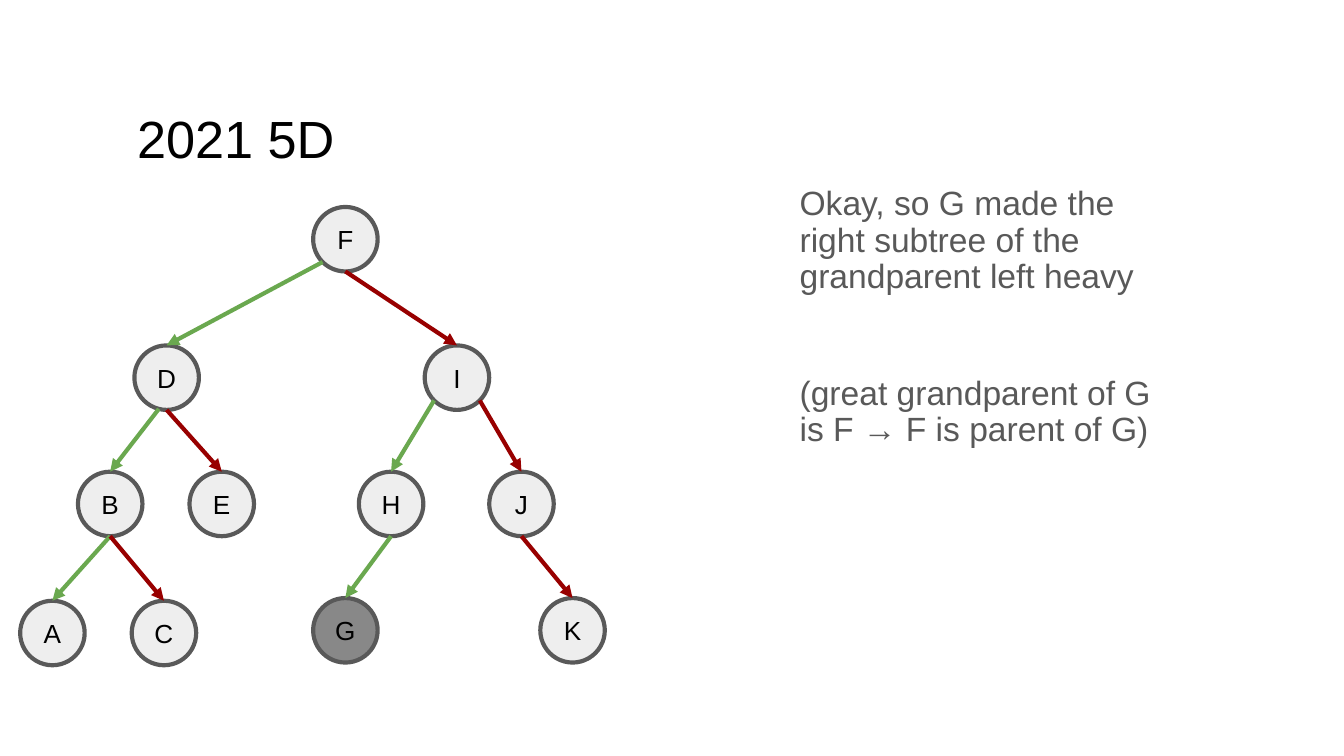
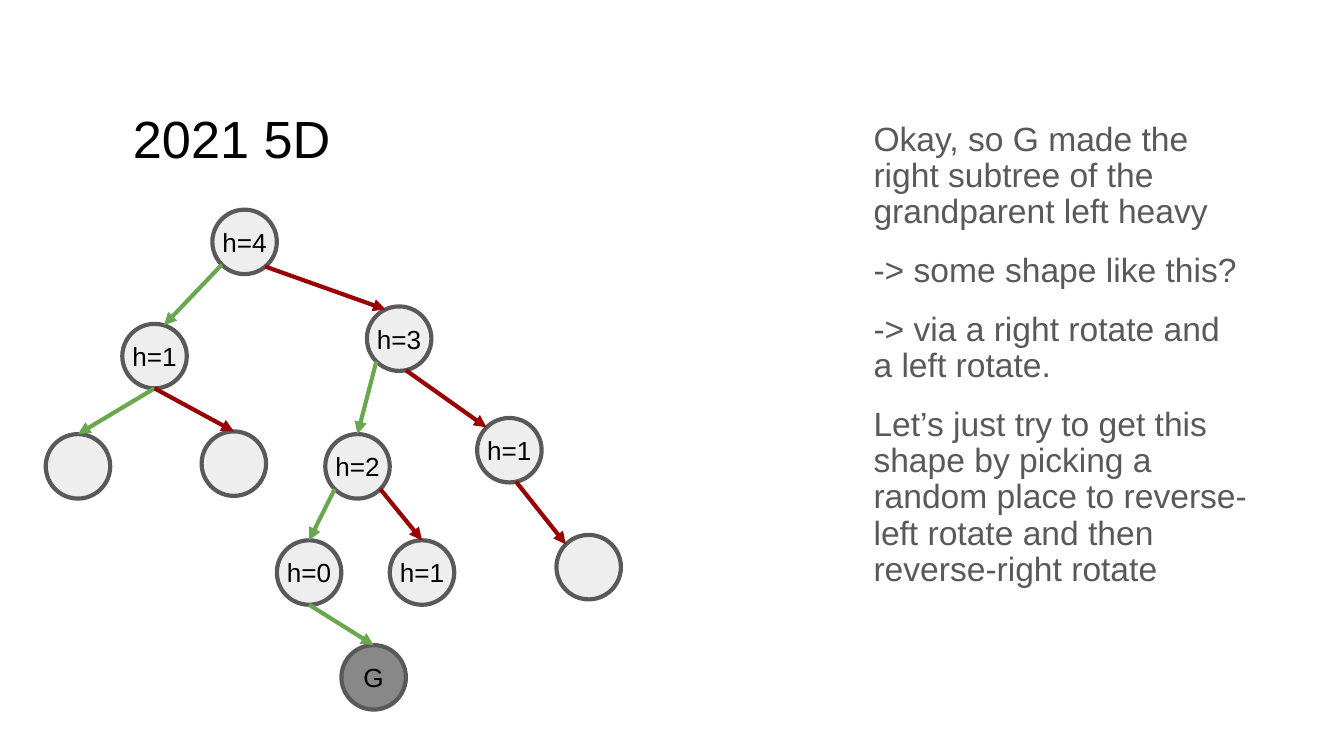
import math

import pptx
import pptx.util
import pptx.dml.color
import pptx.enum.shapes
import pptx.enum.text
import pptx.oxml.ns
import lxml.etree

Inches = pptx.util.Inches
Pt = pptx.util.Pt

FONT = "Arial"
BLACK, GREY = "000000", "595959"
NODE_FILL, ADDED_FILL = "EEEEEE", "888888"
CHILD_COLOURS = {"left": "6AA84F", "right": "980000"}
DIAMETER = 0.48
TOP, TOP_LEFT = 0, 315
BOTTOM_RIGHT, BOTTOM, BOTTOM_LEFT = 135, 180, 225

INSERTED_TREE = {
    "box": (0.15, 1.54),
    "nodes": {
        "F": ("F", 2.18, 0),
        "D": ("D", 0.85, 1.03), "I": ("I", 3.01, 1.03),
        "B": ("B", 0.43, 1.97), "E": ("E", 1.26, 1.97),
        "H": ("H", 2.52, 1.97), "J": ("J", 3.49, 1.97),
        "A": ("A", 0, 2.93), "C": ("C", 0.83, 2.93),
        "G": ("G", 2.18, 2.91), "K": ("K", 3.87, 2.91),
    },
    "edges": [
        ("F", "D", "left", BOTTOM_LEFT, TOP),
        ("F", "I", "right", BOTTOM, TOP),
        ("D", "B", "left", 194, TOP),
        ("D", "E", "right", BOTTOM, TOP),
        ("I", "H", "left", BOTTOM_LEFT, TOP),
        ("I", "J", "right", BOTTOM_RIGHT, TOP),
        ("B", "A", "left", BOTTOM, TOP),
        ("B", "C", "right", BOTTOM, TOP),
        ("H", "G", "left", BOTTOM, TOP),
        ("J", "K", "right", BOTTOM, TOP),
    ],
}

HEIGHT_TREE = {
    "box": (0.34, 1.56),
    "nodes": {
        "root": ("h=4", 1.24, 0),
        "left": ("h=1", 0.57, 0.85), "right": ("h=3", 2.39, 0.72),
        "left leaf 1": ("", 0, 1.67), "left leaf 2": ("", 1.16, 1.65),
        "inner": ("h=2", 2.08, 1.67), "outer": ("h=1", 3.21, 1.55),
        "inner left": ("h=0", 1.72, 2.46), "inner right": ("h=1", 2.56, 2.46),
        "outer leaf": ("", 3.8, 2.42),
        "added": ("G", 2.2, 3.24),
    },
    "edges": [
        ("root", "left", "left", BOTTOM_LEFT, 17),
        ("root", "right", "right", 140, 335),
        ("left", "left leaf 1", "left", BOTTOM, TOP),
        ("left", "left leaf 2", "right", BOTTOM, TOP),
        ("right", "inner", "left", BOTTOM_LEFT, TOP),
        ("right", "outer", "right", 168, TOP_LEFT),
        ("inner", "inner left", "left", BOTTOM_LEFT, TOP),
        ("inner", "inner right", "right", BOTTOM_RIGHT, TOP),
        ("outer", "outer leaf", "right", 168, TOP_LEFT),
        ("inner left", "added", "left", BOTTOM, TOP),
    ],
}

HEAVY = "Okay, so G made the right subtree of the grandparent left heavy"

SLIDES = [
    ((0.94, 0.5, 8.1, 1.11), INSERTED_TREE, (5.87, 1.35, 2.94, 3.31), 43,
     [HEAVY, "(great grandparent of G is F → F is parent of G)"]),
    ((0.91, 0.5, 8.1, 1.11), HEIGHT_TREE, (6.42, 0.87, 2.94, 3.94), 12,
     [HEAVY,
      "-> some shape like this?",
      "-> via a right rotate and a left rotate.",
      "Let’s just try to get this shape by picking a random place to "
      "reverse-left rotate and then reverse-right rotate"]),
]


def rgb(colour):
    return pptx.dml.color.RGBColor.from_string(colour)


def style_runs(p, size, colour):
    for r in p.runs:
        r.font.name = FONT
        r.font.size = Pt(size)
        r.font.color.rgb = rgb(colour)


def add_text(s, box, paragraphs, size, colour, anchor, gap=0):
    tf = s.shapes.add_textbox(*map(Inches, box)).text_frame
    tf.word_wrap = True
    tf.vertical_anchor = anchor
    tf.margin_left = tf.margin_right = Inches(0.08)
    tf.margin_top = tf.margin_bottom = Inches(0.04)
    tf.text = "\n".join(paragraphs)
    for i, p in enumerate(tf.paragraphs):
        p.line_spacing = 0.9
        p.space_before = Pt(gap if i else 0)
        style_runs(p, size, colour)


def add_node(s, label, left, top):
    sp = s.shapes.add_shape(
        pptx.enum.shapes.MSO_SHAPE.OVAL,
        *map(Inches, (left, top, DIAMETER, DIAMETER)))
    sp.shadow.inherit = False
    sp.fill.solid()
    sp.fill.fore_color.rgb = rgb(ADDED_FILL if label == "G" else NODE_FILL)
    sp.line.color.rgb = rgb(GREY)
    sp.line.width = Pt(2.25)
    if label:
        tf = sp.text_frame
        tf.margin_left = tf.margin_right = tf.margin_top = tf.margin_bottom = 0
        tf.word_wrap = False
        tf.vertical_anchor = pptx.enum.text.MSO_ANCHOR.MIDDLE
        tf.text = label
        p = tf.paragraphs[0]
        p.alignment = pptx.enum.text.PP_ALIGN.CENTER
        style_runs(p, 14, BLACK)


def rim_point(left, top, degrees):
    radius = DIAMETER / 2
    angle = math.radians(degrees)
    return (Inches(left + radius + radius * math.sin(angle)),
            Inches(top + radius - radius * math.cos(angle)))


def add_edge(s, start, end, colour):
    line = s.shapes.add_connector(
        pptx.enum.shapes.MSO_CONNECTOR.STRAIGHT, *start, *end)
    line.line.color.rgb = rgb(colour)
    line.line.width = Pt(2.25)
    qn = pptx.oxml.ns.qn
    sp_pr = line._element.spPr
    lxml.etree.SubElement(sp_pr.find(qn("a:ln")), qn("a:tailEnd"), type="triangle")
    lxml.etree.SubElement(sp_pr, qn("a:effectLst"))


def add_tree(s, tree):
    left, top = tree["box"]
    places = {}
    for key, (label, x, y) in tree["nodes"].items():
        places[key] = (left + x, top + y)
        add_node(s, label, *places[key])
    for parent, child, side, leave, arrive in tree["edges"]:
        add_edge(s, rim_point(*places[parent], leave),
                 rim_point(*places[child], arrive), CHILD_COLOURS[side])


def add_tree_slide(prs, title_box, tree, notes_box, gap, notes):
    s = prs.slides.add_slide(prs.slide_layouts[6])
    anchor = pptx.enum.text.MSO_ANCHOR
    add_text(s, title_box, ["2021 5D"], 28, BLACK, anchor.MIDDLE)
    add_tree(s, tree)
    add_text(s, notes_box, notes, 18, GREY, anchor.TOP, gap)


def main():
    prs = pptx.Presentation()
    prs.slide_width = Inches(10)
    prs.slide_height = prs.slide_width * 9 // 16
    for slide in SLIDES:
        add_tree_slide(prs, *slide)
    prs.save("out.pptx")


if __name__ == "__main__":
    main()
